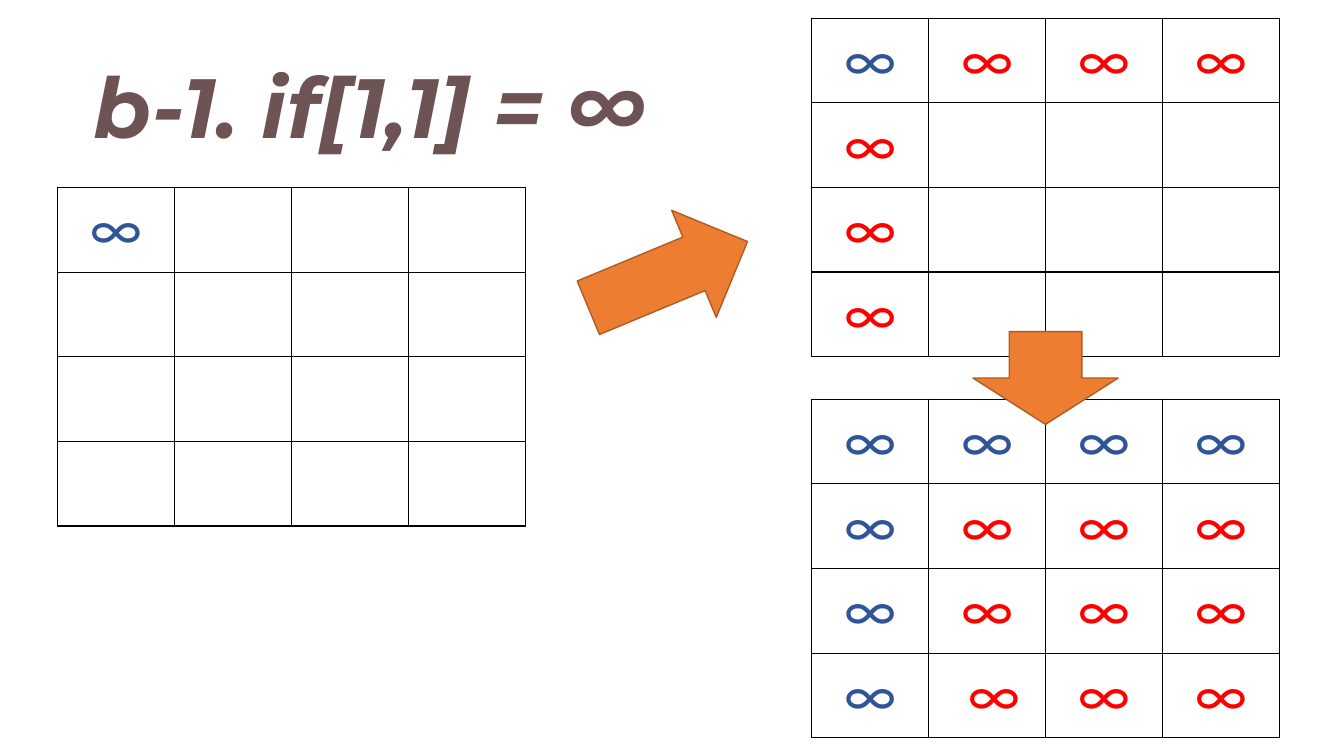
from dataclasses import dataclass

from lxml.etree import SubElement
from pptx import Presentation
from pptx.dml.color import RGBColor
from pptx.enum.shapes import MSO_SHAPE
from pptx.enum.text import MSO_ANCHOR, MSO_AUTO_SIZE, PP_ALIGN
from pptx.oxml.ns import qn
from pptx.util import Inches, Pt

BLUE, RED = "2F5597", "FF0000"
WHITE, BLACK = "FFFFFF", "000000"
ORANGE, BROWN = "ED7D31", "AF5C24"
TITLE_COLOR = "6D5353"
COLUMN_WIDTH, ROW_HEIGHT = 1.16, 0.84
SYMBOLS = {"B": ("∞", BLUE), "R": ("∞", RED), "S": (" ∞", RED)}


@dataclass
class Grid:
    left: float
    top: float
    rows: list[str]


@dataclass
class Arrow:
    kind: MSO_SHAPE
    left: float
    top: float
    width: float
    height: float
    rotation: float = 0


GRIDS = [
    Grid(0.57, 1.86, ["B...", "....", "....", "...."]),
    Grid(8.05, 0.18, ["BRRR", "R...", "R...", "R..."]),
    Grid(8.05, 3.96, ["BBBB", "BRRR", "BRRR", "BSRR"]),
]
ARROWS = [
    Arrow(MSO_SHAPE.RIGHT_ARROW, 5.77, 2.15, 1.71, 1.15, 337.4),
    Arrow(MSO_SHAPE.DOWN_ARROW, 9.65, 3.29, 1.44, 0.92),
]


def color(value: str) -> RGBColor:
    return RGBColor.from_string(value)


def add_title(slide, text: str) -> None:
    title = slide.shapes.title
    title.left, title.top = Inches(0.83), Inches(0.49)
    title.width, title.height = Inches(6.72), Inches(1.11)
    frame = title.text_frame
    frame.text = text
    frame.word_wrap = False
    frame.auto_size = MSO_AUTO_SIZE.SHAPE_TO_FIT_TEXT
    frame.vertical_anchor = MSO_ANCHOR.TOP
    paragraph = frame.paragraphs[0]
    paragraph.alignment = PP_ALIGN.LEFT
    font = paragraph.font
    font.name, font.size = "Montserrat", Pt(60)
    font.bold = font.italic = True
    font.color.rgb = color(TITLE_COLOR)


def add_borders(cell) -> None:
    properties = cell._tc.get_or_add_tcPr()
    for side in ("a:lnL", "a:lnR", "a:lnT", "a:lnB"):
        line = SubElement(properties, qn(side), w=str(Pt(1)))
        fill = SubElement(line, qn("a:solidFill"))
        SubElement(fill, qn("a:srgbClr"), val=BLACK)


def format_cell(cell, code: str) -> None:
    add_borders(cell)
    cell.fill.solid()
    cell.fill.fore_color.rgb = color(WHITE)
    cell.margin_top = cell.margin_bottom = Inches(0.04)
    cell.vertical_anchor = MSO_ANCHOR.MIDDLE
    if code not in SYMBOLS:
        return
    cell.text, ink = SYMBOLS[code]
    paragraph = cell.text_frame.paragraphs[0]
    paragraph.alignment = PP_ALIGN.CENTER
    font = paragraph.font
    font.name, font.size = "Calibri", Pt(44)
    font.color.rgb = color(ink)


def add_grid(slide, grid: Grid) -> None:
    row_count, column_count = len(grid.rows), len(grid.rows[0])
    table = slide.shapes.add_table(
        row_count, column_count, Inches(grid.left), Inches(grid.top),
        Inches(column_count * COLUMN_WIDTH), Inches(row_count * ROW_HEIGHT),
    ).table
    table.first_row = table.horz_banding = False
    for row, codes in enumerate(grid.rows):
        for column, code in enumerate(codes):
            format_cell(table.cell(row, column), code)


def add_arrow(slide, arrow: Arrow) -> None:
    shape = slide.shapes.add_shape(
        arrow.kind, Inches(arrow.left), Inches(arrow.top),
        Inches(arrow.width), Inches(arrow.height),
    )
    shape.rotation = arrow.rotation
    shape.shadow.inherit = False
    shape.fill.solid()
    shape.fill.fore_color.rgb = color(ORANGE)
    shape.line.color.rgb = color(BROWN)
    shape.line.width = Pt(1)


def main() -> None:
    presentation = Presentation()
    presentation.slide_width = Inches(13.33)
    presentation.slide_height = Inches(7.5)
    slide = presentation.slides.add_slide(presentation.slide_layouts[5])
    add_title(slide, "b-1. if[1,1] = ∞")
    for grid in GRIDS:
        add_grid(slide, grid)
    for arrow in ARROWS:
        add_arrow(slide, arrow)
    presentation.save("out.pptx")


if __name__ == "__main__":
    main()
